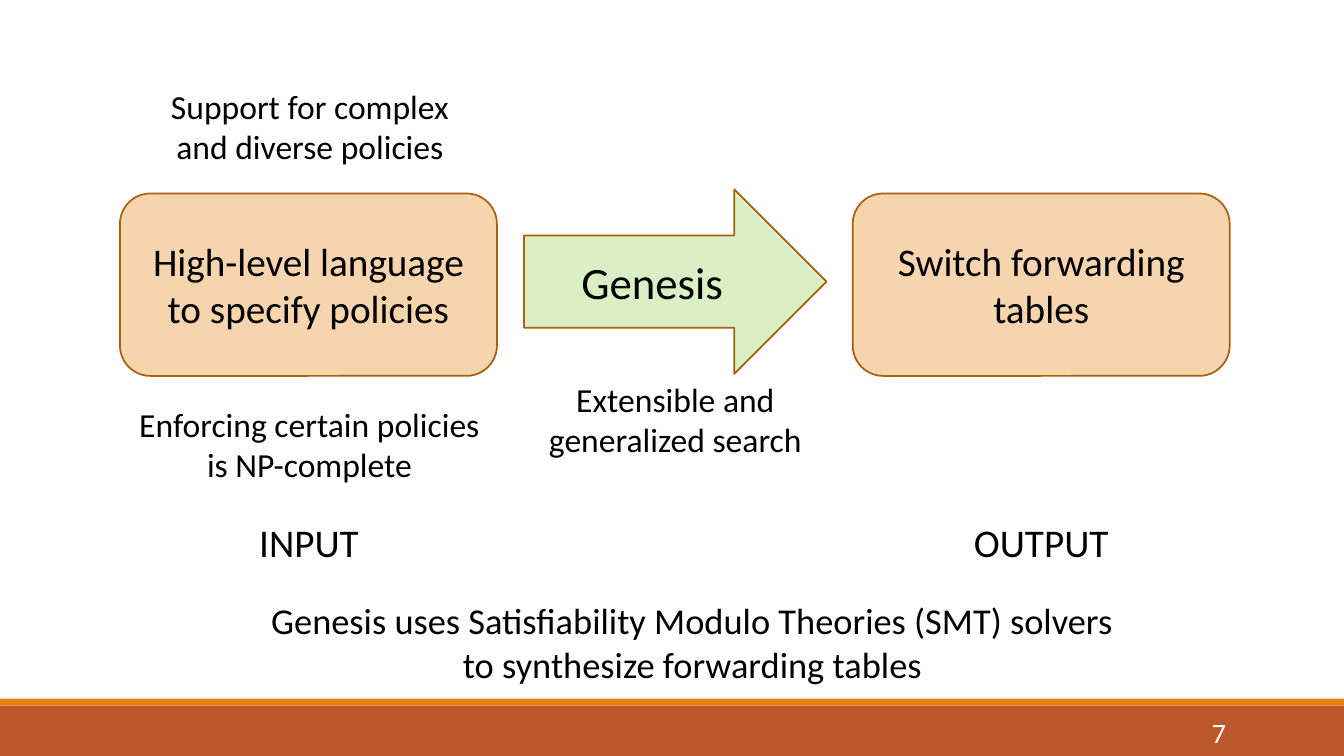
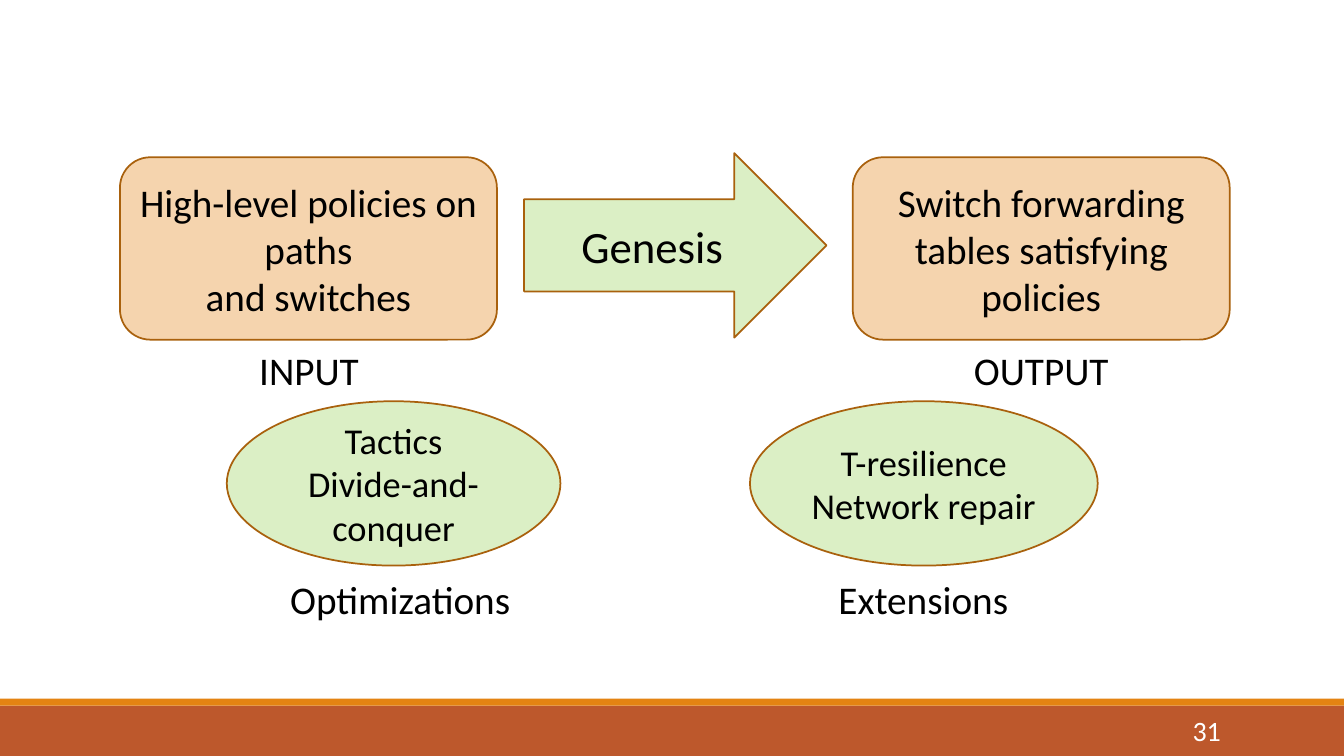
from lxml import etree
from pptx import Presentation
from pptx.dml.color import RGBColor
from pptx.enum import shapes, text
from pptx.oxml import ns
from pptx.util import Pt

SHAPE = shapes.MSO_SHAPE
ALIGN = text.PP_ALIGN
ANCHOR = text.MSO_ANCHOR


def rgb(value):
    return RGBColor.from_string(value)


class Deck:
    """Holds the style and the current slide."""
    WIDTH, HEIGHT = 960, 540
    FONT = "Calibri"
    INK, WHITE = "000000", "FFFFFF"
    RUST, ORANGE, BROWN, GREEN = "BD582C", "E48312", "A9610D", "92D050"
    INPUT_X, OUTPUT_X, BOX_W, BOX_H = 85.7, 609.1, 269.3, 130.3

    def __init__(self):
        self.prs = Presentation()
        self.prs.slide_width = Pt(self.WIDTH)
        self.prs.slide_height = Pt(self.HEIGHT)
        self.s = None

    def slide(self, number, x, y):
        """Start a slide with its footer bands and page number."""
        self.s = self.prs.slides.add_slide(self.prs.slide_layouts[6])
        self.shape(SHAPE.RECTANGLE, 0, 504, self.WIDTH, 36, self.RUST)
        self.shape(SHAPE.RECTANGLE, 0, 499, self.WIDTH, 5, self.ORANGE)
        self.label([number], x, y, 103, 28.8, 20, self.WHITE, ALIGN.RIGHT, ANCHOR.MIDDLE)

    def add_text(self, sp, lines, size, color=INK, align=ALIGN.CENTER, anchor=ANCHOR.MIDDLE):
        tf = sp.text_frame
        tf.word_wrap = True
        tf.vertical_anchor = anchor
        for i, line in enumerate(lines):
            p = tf.paragraphs[0] if i == 0 else tf.add_paragraph()
            p.alignment = align
            r = p.add_run()
            r.text = line
            r.font.name, r.font.size = self.FONT, Pt(size)
            r.font.color.rgb = rgb(color)

    def shape(self, kind, x, y, w, h, fill, opacity=None):
        """Add a solid band, or an outlined shape when opacity (percent) is given."""
        sp = self.s.shapes.add_shape(kind, Pt(x), Pt(y), Pt(w), Pt(h))
        sp.shadow.inherit = False
        sp.fill.solid()
        sp.fill.fore_color.rgb = rgb(fill)
        if opacity is None:
            sp.line.fill.background()
        else:
            sp.line.color.rgb = rgb(self.BROWN)
            sp.line.width = Pt(1.25)
            clr = sp.element.spPr.find(ns.qn("a:solidFill"))[0]
            etree.SubElement(clr, ns.qn("a:alpha"), val=str(opacity * 1000))
        return sp

    def box(self, lines, x, y):
        sp = self.shape(SHAPE.ROUNDED_RECTANGLE, x, y, self.BOX_W, self.BOX_H, self.ORANGE, 34)
        self.add_text(sp, lines, 28)

    def oval(self, lines, x, w, caption):
        sp = self.shape(SHAPE.OVAL, x, 286.6, w, 117.4, self.GREEN, 33)
        self.add_text(sp, lines, 26)
        self.label([caption], x + 35.3, 407.5, 177, 41.2, 28)

    def label(self, lines, x, y, w, h, size, color=INK, align=ALIGN.CENTER, anchor=ANCHOR.TOP):
        sp = self.s.shapes.add_textbox(Pt(x), Pt(y), Pt(w), Pt(h))
        self.add_text(sp, lines, size, color, align, anchor)

    def flow(self, source, result, y, caption_y):
        """Input box, Genesis arrow and output box with their captions."""
        self.box(source, self.INPUT_X, y)
        self.box(result, self.OUTPUT_X, y)
        arrow = self.shape(SHAPE.RIGHT_ARROW, 374.4, y - 2.9, 216, 131.8, self.GREEN, 33)
        self.add_text(arrow, ["Genesis"], 32)
        self.label(["INPUT"], 136.5, caption_y, 168.5, 41.2, 28)
        self.label(["OUTPUT"], 659.5, caption_y, 168.5, 41.2, 28)


def main():
    d = Deck()

    # Overview of the synthesis flow
    d.slide("7", 779.8, 508.6)
    d.flow(["High-level language to specify policies"], ["Switch forwarding tables"], 138.2, 366.5)
    d.label(["Support for complex", "and diverse policies"], 114.5, 57.6, 213.8, 65.5, 24)
    d.label(["Enforcing certain policies is NP-complete"], 90, 285, 262, 65.5, 24)
    d.label(["Extensible and generalized search"], 352.8, 267, 259.2, 65.5, 24)
    d.label(["Genesis uses Satisfiability Modulo Theories (SMT) solvers",
             "to synthesize forwarding tables"], 85.7, 424, 818, 70.6, 26)

    # Summary with optimizations and extensions
    d.slide("31", 776.2, 507.6)
    d.flow(["High-level policies on paths", "and switches"],
           ["Switch forwarding tables satisfying policies"], 112.3, 244)
    d.oval(["Tactics", "Divide-and-conquer"], 162, 238.3, "Optimizations")
    d.oval(["T-resilience Network repair"], 535.7, 248.4, "Extensions")

    d.prs.save("out.pptx")


if __name__ == "__main__":
    main()
